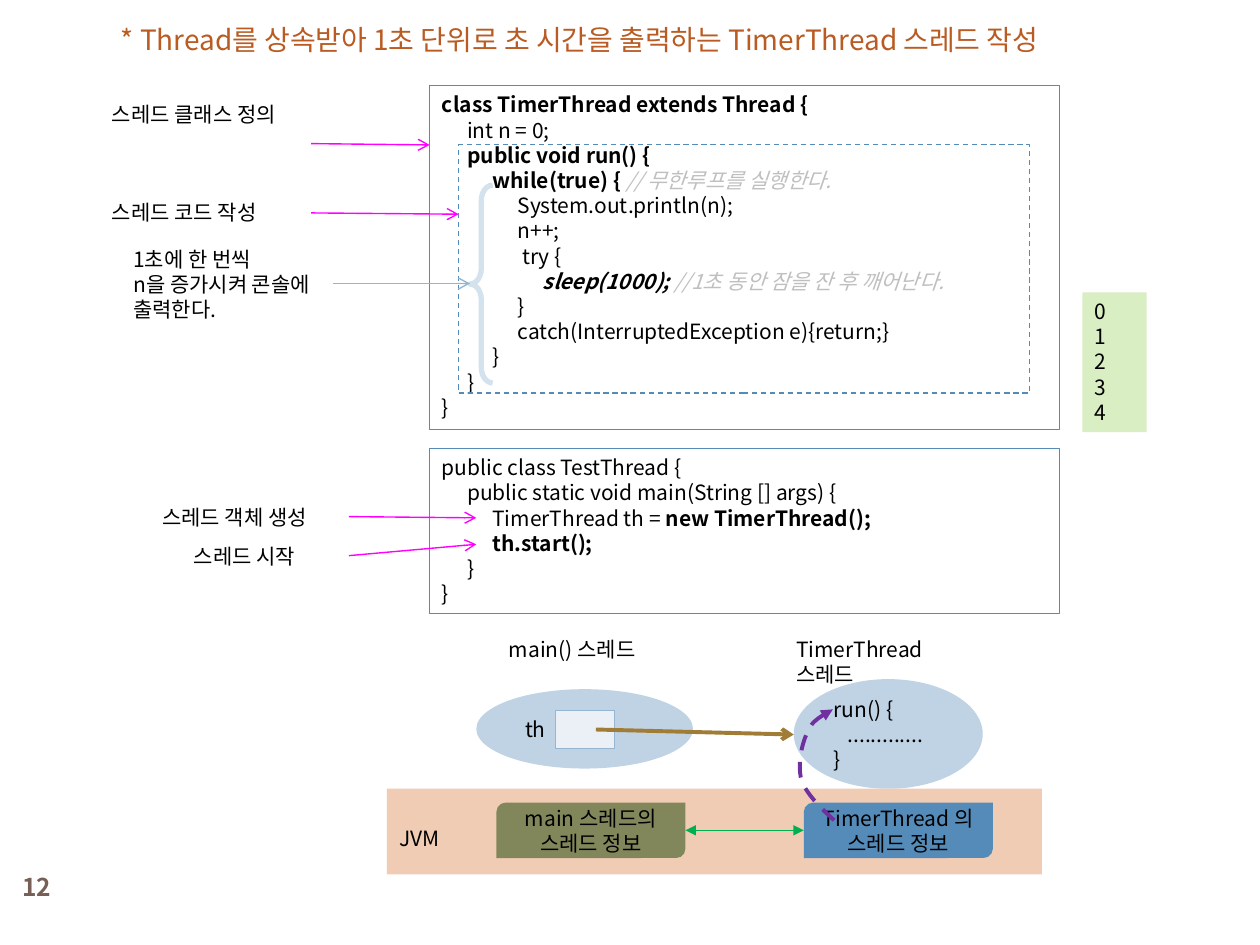
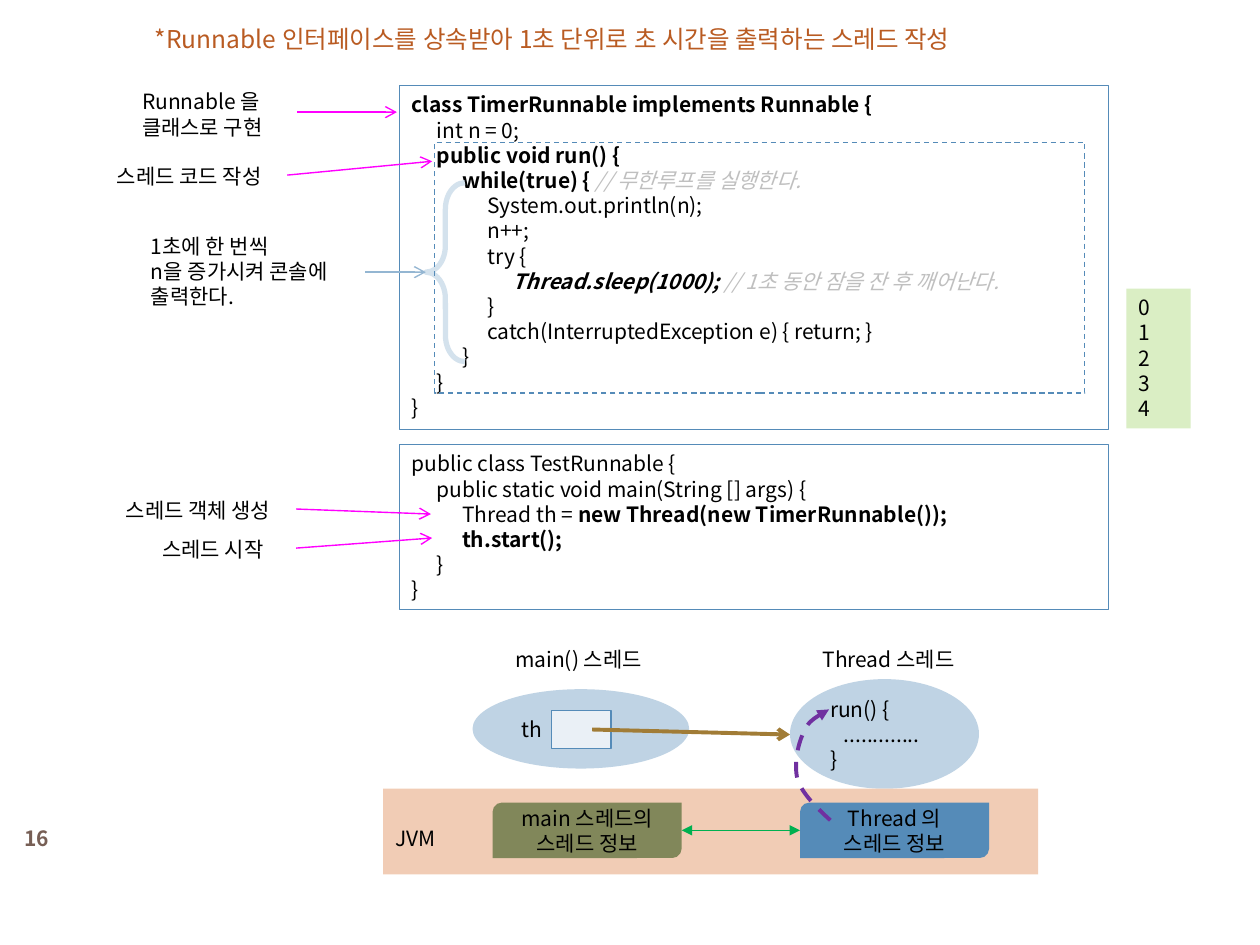
from lxml import etree
from pptx import Presentation
from pptx.dml.color import RGBColor
from pptx.enum.dml import MSO_LINE
from pptx.enum.shapes import MSO_CONNECTOR, MSO_SHAPE
from pptx.enum.text import MSO_ANCHOR, MSO_AUTO_SIZE, PP_ALIGN
from pptx.oxml.ns import qn
from pptx.util import Pt

PX = 9144  # EMU per px, 100 px to the inch
FONT = "Noto Sans CJK KR"
LINE_HEIGHT = 1.2
TAB = 20

RECT = MSO_SHAPE.RECTANGLE
PROCESS = MSO_SHAPE.FLOWCHART_PROCESS
OVAL = MSO_SHAPE.OVAL
ROUND_DIAGONAL = MSO_SHAPE.ROUND_2_DIAG_RECTANGLE
LEFT_BRACE = MSO_SHAPE.LEFT_BRACE
STRAIGHT = MSO_CONNECTOR.STRAIGHT
DASH = MSO_LINE.DASH
TOP, MIDDLE = MSO_ANCHOR.TOP, MSO_ANCHOR.MIDDLE
LEFT, CENTER = PP_ALIGN.LEFT, PP_ALIGN.CENTER
NO_FIT = MSO_AUTO_SIZE.NONE

BLACK = RGBColor(0x00, 0x00, 0x00)
COMMENT_GREY = RGBColor(0xBF, 0xBF, 0xBF)
TITLE_ORANGE = RGBColor(0xB9, 0x5B, 0x22)
NUMBER_BROWN = RGBColor(0x77, 0x5F, 0x55)
BLUE = RGBColor(0x55, 0x8B, 0xB8)
SOFT_BLUE = RGBColor(0x94, 0xB6, 0xD2)
BRACE_BLUE = RGBColor(0xD4, 0xE2, 0xED)
THREAD_BLUE = RGBColor(0xBF, 0xD3, 0xE4)
VARIABLE_BLUE = RGBColor(0xEA, 0xF0, 0xF6)
OUTPUT_GREEN = RGBColor(0xDA, 0xEE, 0xC4)
OLIVE = RGBColor(0x81, 0x87, 0x5A)
PEACH = RGBColor(0xF1, 0xCC, 0xB5)
MAGENTA = RGBColor(0xFF, 0x00, 0xFF)
GOLD = RGBColor(0xA1, 0x7C, 0x36)
GREEN = RGBColor(0x00, 0xB0, 0x50)
PURPLE = RGBColor(0x70, 0x30, 0xA0)


def emu(*lengths):
    return [length * PX for length in lengths]


def add_arrowheads(shape, head, tail):
    ln = shape.element.spPr.get_or_add_ln()
    for tag, kind in (("a:headEnd", head), ("a:tailEnd", tail)):
        if kind:
            etree.SubElement(ln, qn(tag), type=kind)


class SlideWriter:
    def __init__(self, deck):
        self.deck = deck
        self.slide = None

    def new_slide(self, title, at, size):
        self.slide = self.deck.slides.add_slide(self.deck.slide_layouts[5])
        box = self.slide.shapes.title
        box.left, box.top, box.width, box.height = emu(*at)
        self.put_text(box, [title], size=size, color=TITLE_ORANGE)

    def put_text(self, shape, lines, size=12, color=BLACK, bold=False, align=LEFT,
                 anchor=TOP, inset=None, tab=TAB):
        """Each line is a string or a list of (text, style); styles: b bold, i italic, c comment."""
        frame = shape.text_frame
        frame.word_wrap = True
        frame.auto_size = NO_FIT
        frame.vertical_anchor = anchor
        if inset is not None:
            frame.margin_left = frame.margin_right = inset * PX
            frame.margin_top = frame.margin_bottom = inset * PX
        for index, line in enumerate(lines):
            para = frame.add_paragraph() if index else frame.paragraphs[0]
            para.alignment = align
            para.line_spacing = Pt(size * LINE_HEIGHT)
            spans = [(line, "")] if isinstance(line, str) else line
            if spans[0][0].startswith("\t"):
                self.set_tabs(para, tab)
            for text, style in spans:
                span = para.add_run()
                span.text = text
                font = span.font
                font.name, font.size = FONT, Pt(size)
                font.bold = bold or "b" in style
                font.italic = "i" in style or "c" in style
                font.color.rgb = COMMENT_GREY if "c" in style else color
                etree.SubElement(span._r.get_or_add_rPr(), qn("a:ea"), typeface=FONT)

    def set_tabs(self, para, step):
        stops = etree.SubElement(para._p.get_or_add_pPr(), qn("a:tabLst"))
        for count in range(1, 5):
            etree.SubElement(stops, qn("a:tab"), pos=str(count * step * PX), algn="l")

    def shape(self, kind, at, fill=None, line=None, width=0.75, dash=None,
              lines=(), **text_style):
        shape = self.slide.shapes.add_shape(kind, *emu(*at))
        shape.shadow.inherit = False
        if fill is None:
            shape.fill.background()
        else:
            shape.fill.solid()
            shape.fill.fore_color.rgb = fill
        if line is None:
            shape.line.fill.background()
        else:
            shape.line.color.rgb = line
            shape.line.width = Pt(width)
            shape.line.dash_style = dash
        if lines:
            self.put_text(shape, lines, **text_style)
        return shape

    def text(self, at, lines, **text_style):
        self.put_text(self.slide.shapes.add_textbox(*emu(*at)), lines, **text_style)

    def callout(self, at, *lines):
        self.shape(PROCESS, at, lines=lines, anchor=MIDDLE)

    def arrow(self, start, end, color=MAGENTA, width=0.79, head=None, tail="arrow"):
        connector = self.slide.shapes.add_connector(STRAIGHT, *emu(*start, *end))
        connector.line.color.rgb = color
        connector.line.width = Pt(width)
        add_arrowheads(connector, head, tail)
        etree.SubElement(connector.element.spPr, qn("a:effectLst"))
        return connector

    def dashed_curve(self, points, color, width):
        """Cubic curve: a start point, then two controls and an end for each segment."""
        builder = self.slide.shapes.build_freeform(*points[0], scale=PX)
        builder.add_line_segments(points[1:], close=False)
        shape = builder.convert_to_shape()
        steps = list(shape.element.iter(qn("a:lnTo")))
        for start in range(0, len(steps), 3):
            cubic = etree.Element(qn("a:cubicBezTo"))
            steps[start].addprevious(cubic)
            for step in steps[start:start + 3]:
                cubic.append(step[0])
                step.getparent().remove(step)
        shape.shadow.inherit = False
        shape.fill.background()
        shape.line.color.rgb = color
        shape.line.width = Pt(width)
        shape.line.dash_style = DASH
        add_arrowheads(shape, None, "triangle")

    def brace(self, at):
        brace = self.shape(LEFT_BRACE, at, line=BRACE_BLUE, width=3)
        brace.adjustments[0] = 0.678
        brace.adjustments[1] = 0.5

    def code_box(self, at, lines):
        self.shape(RECT, at, line=BLUE, lines=lines)

    def run_frame(self, at):
        self.shape(RECT, at, line=BLUE, dash=DASH)

    def console(self, left, top):
        self.shape(RECT, (left, top, 51, 111), OUTPUT_GREEN, lines=list("01234"))

    def page_number(self, number, top, size):
        self.text((0, top, 58, 42), [number], size=size, color=NUMBER_BROWN,
                  bold=True, align=CENTER, anchor=MIDDLE)

    def thread_diagram(self, left, timer_name, variable_line):
        """Draws the two threads above the JVM band that starts at left."""
        self.shape(OVAL, (left + 323, 539, 150, 87), THREAD_BLUE, anchor=MIDDLE, tab=11,
                   lines=["run() {", "\t.............", "}"])
        self.shape(OVAL, (left + 71, 547, 172, 63), THREAD_BLUE, anchor=MIDDLE, lines=[" th"])
        self.shape(RECT, (left + 134, 564, 47, 30), VARIABLE_BLUE, variable_line)
        self.arrow((left + 166, 579), (left + 323, 583), GOLD, 2.25)
        self.shape(RECT, (left, 626, 520, 68), PEACH)
        self.text((left, 650, 60, 30), ["JVM"])
        info = {"anchor": MIDDLE, "align": CENTER, "inset": 4}
        timer_info = self.shape(ROUND_DIAGONAL, (left + 331, 637, 150, 44), BLUE,
                                lines=[timer_name + " 의", "스레드 정보"], **info)
        main_info = self.shape(ROUND_DIAGONAL, (left + 87, 637, 150, 44), OLIVE,
                               lines=["main 스레드의 스레드 정보"], **info)
        link = self.arrow((left + 237, 659), (left + 331, 659), GREEN,
                          head="triangle", tail="triangle")
        link.begin_connect(main_info, 3)
        link.end_connect(timer_info, 1)
        bends = [(355, 651), (344, 641), (333, 630), (329, 619), (326, 607),
                 (329, 592), (333, 583), (337, 573), (345, 568), (354, 563)]
        self.dashed_curve([(left + x, y) for x, y in bends], PURPLE, 2.25)


def thread_code(declaration, try_line, sleep_spans, catch_line):
    return [
        [(declaration, "b")],
        "\tint n = 0;",
        [("\tpublic void run() {", "b")],
        [("\t\twhile(true) { ", "b"), ("// 무한루프를 실행한다.", "c")],
        "\t\t\tSystem.out.println(n);",
        "\t\t\tn++;",
        "\t\t\t" + try_line,
        [("\t\t\t\t", "i"), *sleep_spans],
        "\t\t\t}",
        "\t\t\t" + catch_line,
        "\t\t}",
        "\t}",
        "}",
    ]


def test_code(class_name, variable, creation):
    return [
        f"public class {class_name} {{",
        "\tpublic static void main(String [] args) {",
        [(f"\t\t{variable} = ", ""), (creation, "b")],
        [("\t\tth.start();", "b")],
        "\t}",
        "}",
    ]


CREATE, START, CODE = "스레드 객체 생성", "스레드 시작", "스레드 코드 작성"
LOOP_NOTE = ("1초에 한 번씩", "n을 증가시켜 콘솔에", "출력한다.")


def timer_thread_slide(page):
    page.new_slide("* Thread를 상속받아 1초 단위로 초 시간을 출력하는 TimerThread 스레드 작성",
                   (86, 13, 860, 37), 16)
    page.code_box((341, 68, 500, 273), thread_code(
        "class TimerThread extends Thread {", " try {",
        [("sleep(1000); ", "bi"), ("//1초 동안 잠을 잔 후 깨어난다.", "c")],
        "catch(InterruptedException e){return;}"))
    page.code_box((341, 356, 500, 131),
                  test_code("TestThread", "TimerThread th", "new TimerThread();"))
    page.callout((119, 388, 157, 45), CREATE)
    page.callout((144, 419, 133, 45), START)
    page.callout((79, 68, 168, 45), "스레드 클래스 정의")
    page.callout((79, 146, 168, 45), CODE)
    page.console(859, 232)
    page.run_frame((364, 115, 453, 197))
    page.arrow((247, 114), (341, 115))
    page.arrow((247, 169), (364, 170))
    page.arrow((277, 410), (378, 411))
    page.arrow((277, 441), (378, 432))
    page.brace((373, 147, 18, 157))
    page.callout((96, 190, 181, 71), *LOOP_NOTE)
    page.arrow((264, 225), (373, 225), SOFT_BLUE)
    page.thread_diagram(307, "TimerThread", SOFT_BLUE)
    page.text((394, 500, 135, 30), ["main() 스레드"])
    page.text((622, 500, 150, 50), ["TimerThread 스레드"])
    page.page_number("12", 683, 14)


def timer_runnable_slide(page):
    page.new_slide("*Runnable 인터페이스를 상속받아 1초 단위로 초 시간을 출력하는 스레드 작성",
                   (113, 14, 750, 34), 14)
    page.code_box((317, 68, 563, 273), thread_code(
        "class TimerRunnable implements Runnable {", "try {",
        [("Thread.sleep(1000);", "bi"), (" // 1초 동안 잠을 잔 후 깨어난다.", "c")],
        "catch(InterruptedException e) { return; }"))
    page.code_box((317, 353, 563, 131),
                  test_code("TestRunnable", "Thread th", "new Thread(new TimerRunnable());"))
    page.callout((90, 382, 153, 45), CREATE)
    page.callout((119, 413, 133, 45), START)
    page.callout((103, 68, 164, 45), "Runnable 을", "클래스로 구현")
    page.callout((83, 117, 160, 45), CODE)
    page.arrow((236, 89), (315, 89))
    page.arrow((228, 139), (343, 128))
    page.arrow((235, 404), (342, 408))
    page.arrow((235, 435), (343, 427))
    page.brace((338, 145, 31, 142))
    page.callout((110, 168, 180, 94), *LOOP_NOTE)
    page.arrow((290, 216), (338, 216), SOFT_BLUE)
    page.run_frame((345, 113, 516, 199))
    page.thread_diagram(304, "Thread", BLUE)
    page.text((399, 508, 135, 30), ["main() 스레드"])
    page.text((643, 508, 140, 30), ["Thread 스레드"])
    page.page_number("16", 644, 12)
    page.console(894, 229)


def main():
    deck = Presentation()
    deck.slide_width, deck.slide_height = emu(1000, 750)
    page = SlideWriter(deck)
    timer_thread_slide(page)
    timer_runnable_slide(page)
    deck.save("out.pptx")


if __name__ == "__main__":
    main()
